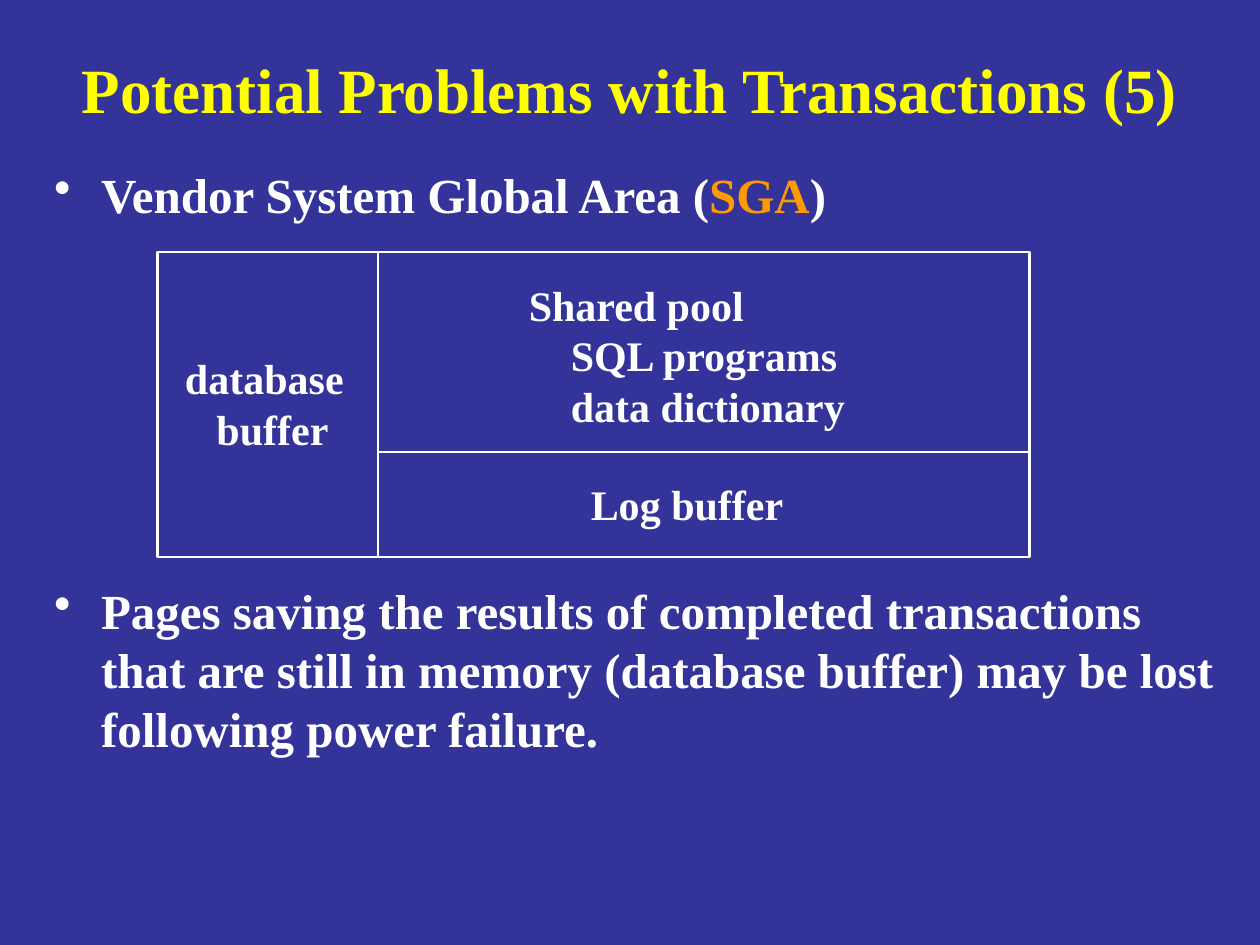
"""Build a slide on the memory areas of a database and how power loss affects them."""
from pptx import Presentation
from pptx.dml.color import RGBColor
from pptx.enum.shapes import MSO_CONNECTOR, MSO_SHAPE
from pptx.enum.text import MSO_ANCHOR, MSO_AUTO_SIZE, PP_ALIGN
from pptx.oxml.ns import qn
from pptx.util import Cm, Pt
from lxml import etree

RECT = MSO_SHAPE.RECTANGLE
LINE = MSO_CONNECTOR.STRAIGHT
TOP, MID = MSO_ANCHOR.TOP, MSO_ANCHOR.MIDDLE
LEFT, MIDDLE = PP_ALIGN.LEFT, PP_ALIGN.CENTER
FIXED = MSO_AUTO_SIZE.NONE

THEME = {
    "font": "Times New Roman",
    "back": RGBColor(0x33, 0x33, 0x99),
    "head": RGBColor(0xFF, 0xFF, 0x00),
    "text": RGBColor(0xFF, 0xFF, 0xFF),
    "mark": RGBColor(0xFF, 0x99, 0x00),
    "title": 36, "body": 28, "label": 24,
    "rule": 1.5, "lead": 1.2,
}

TITLE = "Potential Problems with Transactions (5)"
TITLE_AT = (0.84, 0.84, 23.7, 1.9)
POINTS = [
    ([("Vendor System Global Area (", "text"), ("SGA", "mark"), (")", "text")], 0),
    ([("Pages saving the results of completed transactions that are still in "
       "memory (database buffer) may be lost following power failure.", "text")], 204),
]
POINTS_AT = (0.84, 3.2, 23.93, 15.24)
HANG = 0.95

FRAME = (3.18, 5.08, 17.57, 6.15)
SPLIT_X, SPLIT_Y = 7.62, 9.11
LABELS = [
    ((3.48, 6.99, 3.71, 2.29), [("database", 0), ("buffer", 18)]),
    ((10.41, 5.51, 7.3, 3.3),
     [("Shared pool", 0), ("SQL programs", 24), ("data dictionary", 24)]),
    ((11.66, 9.53, 4.6, 1.27), [("Log buffer", 0)]),
]


def assign(item, values):
    for name, value in values.items():
        setattr(item, name, value)


def place(box):
    return [Cm(n) for n in box]


def setup(frame, anchor=TOP):
    assign(frame, {"word_wrap": True, "auto_size": FIXED, "vertical_anchor": anchor})


def write(para, runs, size, align=LEFT, before=0):
    assign(para, {"alignment": align, "space_before": Pt(before),
                  "line_spacing": Pt(size * THEME["lead"])})
    for text, tint in runs:
        run = para.add_run()
        run.text = text
        assign(run.font, {"name": THEME["font"], "size": Pt(size), "bold": True})
        run.font.color.rgb = THEME[tint]


def indent(para, left, first=0):
    props = para._p.get_or_add_pPr()
    props.set("marL", str(int(left)))
    props.set("indent", str(int(first)))
    return props


def paras(frame, items):
    for i, item in enumerate(items):
        yield (frame.add_paragraph() if i else frame.paragraphs[0]), item


def stroke(line):
    line.color.rgb = THEME["text"]
    line.width = Pt(THEME["rule"])


def add_title(slide):
    title = slide.shapes.title
    assign(title, dict(zip(("left", "top", "width", "height"), place(TITLE_AT))))
    setup(title.text_frame, MID)
    write(title.text_frame.paragraphs[0], [(TITLE, "head")], THEME["title"], MIDDLE)


def add_points(slide):
    frame = slide.shapes.add_textbox(*place(POINTS_AT)).text_frame
    setup(frame)
    for para, (runs, before) in paras(frame, POINTS):
        write(para, runs, THEME["body"], before=before)
        props = indent(para, Cm(HANG), -Cm(HANG))
        etree.SubElement(props, qn("a:buChar")).set("char", "•")


def add_frame(slide):
    left, top, width, height = FRAME
    rect = slide.shapes.add_shape(RECT, *place(FRAME))
    rect.shadow.inherit = False
    rect.fill.background()
    stroke(rect.line)
    for ends in [(SPLIT_X, top, SPLIT_X, top + height),
                 (SPLIT_X, SPLIT_Y, left + width, SPLIT_Y)]:
        rule = slide.shapes.add_connector(LINE, *place(ends))
        stroke(rule.line)
        etree.SubElement(rule._element.spPr, qn("a:effectLst"))


def add_labels(slide):
    for box, lines in LABELS:
        frame = slide.shapes.add_textbox(*place(box)).text_frame
        setup(frame)
        for para, (text, left) in paras(frame, lines):
            write(para, [(text, "text")], THEME["label"])
            indent(para, Pt(left))


def main():
    deck = Presentation()
    assign(deck, {"slide_width": Cm(25.4), "slide_height": Cm(19.05)})
    slide = deck.slides.add_slide(deck.slide_layouts.get_by_name("Title Only"))
    slide.background.fill.solid()
    slide.background.fill.fore_color.rgb = THEME["back"]
    for build in (add_title, add_points, add_frame, add_labels):
        build(slide)
    deck.save("out.pptx")


if __name__ == "__main__":
    main()
